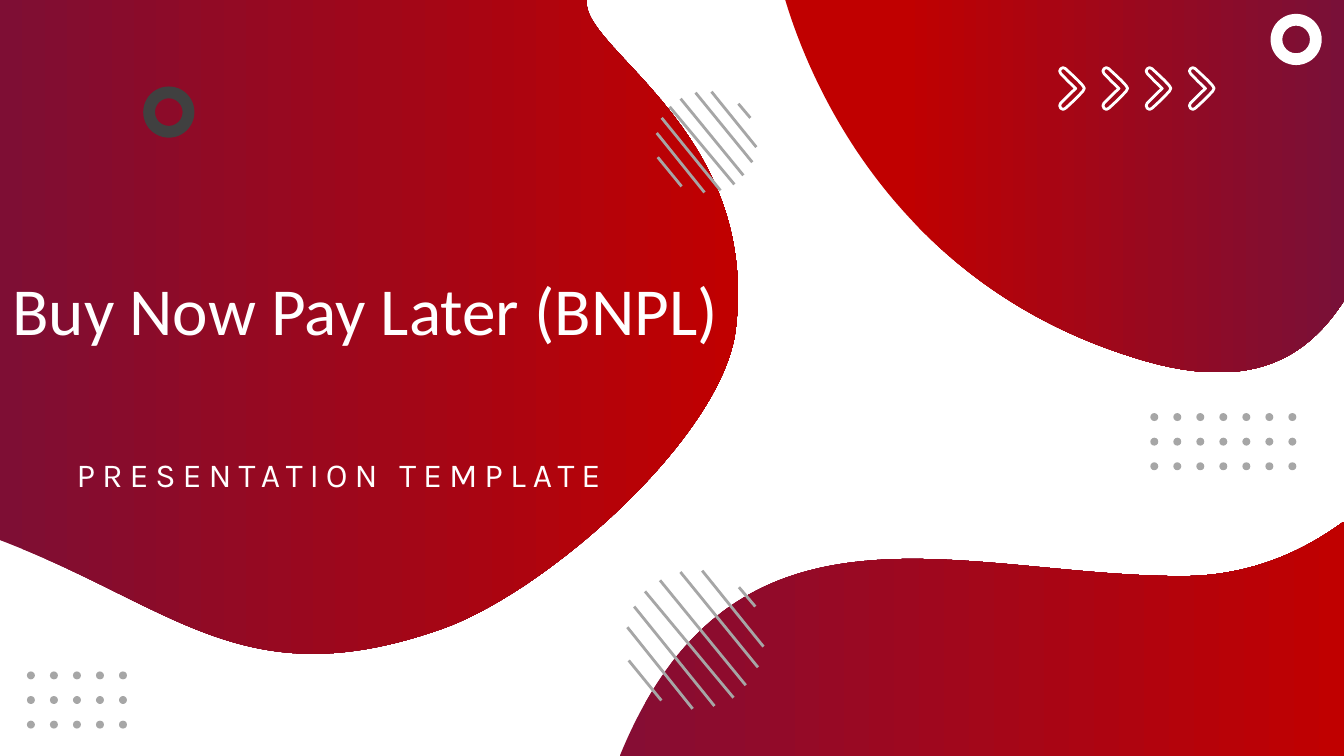
import pptx
import pptx.util
from lxml import etree
from pptx.dml.color import RGBColor
from pptx.enum.shapes import MSO_CONNECTOR, MSO_SHAPE
from pptx.enum.text import MSO_ANCHOR, MSO_AUTO_SIZE, PP_ALIGN
from pptx.oxml.ns import qn
from pptx.util import Cm


class Theme:
    white = RGBColor.from_string("FFFFFF")
    grey = RGBColor.from_string("A6A6A6")
    charcoal = RGBColor.from_string("404040")
    red = RGBColor.from_string("C00000")
    wine = RGBColor.from_string("7E0E34")
    plum = RGBColor.from_string("791038")
    burgundy = RGBColor.from_string("860D34")
    title_font, title_size = "Calibri", pptx.util.Pt(48)
    subtitle_font, subtitle_size = "Karla", pptx.util.Pt(24)
    letter_spacing = 500  # hundredths of a point
    stroke = pptx.util.Pt(2)


# Outlines in cm from the corner of their box: a start point,
# then line ends (x, y) or cubic curves (control, control, end)
LEFT_BLOB = [(11.13, 15.85), (13.79, 14.91, 18.21, 11, 18.54, 8.31),
             (19.15, 3.28, 14.66, 1.27, 14.78, 0), (0, 0), (0, 13.61),
             (4.42, 15.29, 6.15, 17.6, 11.13, 15.85)]
TOP_BLOB = [(8.66, 8.97), (11.58, 9.93, 13.08, 9.12, 14.07, 7.59),
            (14.07, 0), (0, 0), (0.61, 2.03, 2.69, 7.06, 8.66, 8.97)]
BOTTOM_BLOB = [(18.24, 1.14), (17.09, 1.98, 15.75, 2.51, 14.17, 2.51),
               (8.64, 2.51, 2.87, 0, 0, 7.04), (18.24, 7.04)]
CHEVRON = [(0.64, 0.51), (0.51, 0.36, 0.36, 0.23, 0.2, 0.08),
           (0.13, 0, 0, 0.13, 0.08, 0.2), (0.2, 0.33, 0.33, 0.46, 0.46, 0.58),
           (0.33, 0.7, 0.2, 0.83, 0.08, 0.95), (0, 1.03, 0.13, 1.17, 0.2, 1.08),
           (0.36, 0.94, 0.51, 0.79, 0.64, 0.65), (0.69, 0.61, 0.69, 0.54, 0.64, 0.51)]

# Hatch lines as fractions of their box: x1, y1, x2, y2
HATCH = [(0.01, 0.65, 0.25, 0.94), (0, 0.41, 0.48, 1), (0.05, 0.26, 0.64, 0.98),
         (0.13, 0.15, 0.78, 0.92), (0.24, 0.07, 0.87, 0.83), (0.39, 0.01, 0.96, 0.7),
         (0.55, 0, 1, 0.55), (0.82, 0.12, 0.94, 0.26)]


def add_outline(shapes, left, top, width, height, outline):
    """Span the box with a freeform, then give it the curved outline."""
    builder = shapes.build_freeform(Cm(left), Cm(top))
    builder.add_line_segments([(Cm(left + width), Cm(top + height))], close=False)
    shape = builder.convert_to_shape()
    shape.shadow.inherit = False
    contour = next(shape.element.iter(qn("a:path")))
    for step in list(contour):
        contour.remove(step)
    for index, segment in enumerate(outline):
        tag = "a:moveTo" if index == 0 else "a:lnTo" if len(segment) == 2 else "a:cubicBezTo"
        step = etree.SubElement(contour, qn(tag))
        for x, y in zip(segment[::2], segment[1::2]):
            etree.SubElement(step, qn("a:pt"), x=str(int(Cm(x))), y=str(int(Cm(y))))
    etree.SubElement(contour, qn("a:close"))
    return shape


def add_blob(page, left, top, width, height, outline, stops):
    blob = add_outline(page.shapes, left, top, width, height, outline)
    blob.line.fill.background()
    blob.fill.gradient()
    blob.fill.gradient_angle = 0
    for stop, (position, color) in zip(blob.fill.gradient_stops, stops):
        stop.position = position
        stop.color.rgb = color


def add_solid(shapes, kind, left, top, size, color):
    shape = shapes.add_shape(kind, Cm(left), Cm(top), Cm(size), Cm(size))
    shape.shadow.inherit = False
    shape.fill.solid()
    shape.fill.fore_color.rgb = color
    shape.line.fill.background()
    return shape


def add_ring(page, left, top, color):
    ring = add_solid(page.shapes, MSO_SHAPE.DONUT, left, top, 1.29, color)
    ring.adjustments[0] = 0.23


def add_hatch(page, left, top, width, height):
    group = page.shapes.add_group_shape()
    for x1, y1, x2, y2 in HATCH:
        line = group.shapes.add_connector(
            MSO_CONNECTOR.STRAIGHT,
            Cm(left + x1 * width), Cm(top + y1 * height),
            Cm(left + x2 * width), Cm(top + y2 * height))
        line.line.color.rgb = Theme.grey
        line.line.width = Theme.stroke
        etree.SubElement(line.element.spPr, qn("a:effectLst"))


def add_chevrons(page, left, top, count=4, pitch=1.09):
    group = page.shapes.add_group_shape()
    for index in range(count):
        chevron = add_outline(group.shapes, left + index * pitch, top, 0.69, 1.17, CHEVRON)
        chevron.fill.background()
        chevron.line.color.rgb = Theme.white
        chevron.line.width = Theme.stroke


def add_dots(page, left, top, columns, rows=3):
    group = page.shapes.add_group_shape()
    for row in range(rows):
        for column in range(columns):
            add_solid(group.shapes, MSO_SHAPE.OVAL, left + column * 0.58,
                      top + row * 0.62, 0.2, Theme.grey)


def fill_text(box, left, top, width, height, text, font, size):
    box.left, box.top, box.width, box.height = Cm(left), Cm(top), Cm(width), Cm(height)
    frame = box.text_frame
    frame.text = text
    frame.word_wrap = True
    frame.auto_size = MSO_AUTO_SIZE.SHAPE_TO_FIT_TEXT
    frame.vertical_anchor = MSO_ANCHOR.TOP
    frame.margin_left = frame.margin_top = frame.margin_right = frame.margin_bottom = 0
    para = frame.paragraphs[0]
    para.alignment = PP_ALIGN.LEFT
    span = para.runs[0]
    span.font.name, span.font.size = font, size
    span.font.color.rgb = Theme.white
    return para


def add_headings(page, left, top):
    title = page.shapes.title
    # Bring the title in front of the blobs
    title.element.getparent().append(title.element)
    para = fill_text(title, left, top, 17.83, 1.68, "Buy Now Pay Later (BNPL)",
                     Theme.title_font, Theme.title_size)
    para.line_spacing = 0.8
    subtitle = page.shapes.add_textbox(0, 0, 0, 0)
    para = fill_text(subtitle, left + 1.62, top + 4.29, 17.2, 1.02, "PRESENTATION TEMPLATE",
                     Theme.subtitle_font, Theme.subtitle_size)
    para.runs[0].font._element.set("spc", str(Theme.letter_spacing))


def build_cover(deck):
    page = deck.slides.add_slide(deck.slide_layouts[5])
    page.background.fill.solid()
    page.background.fill.fore_color.rgb = Theme.white
    # Gradient blobs
    add_blob(page, 0, 0, 18.59, 16.46, LEFT_BLOB, [(0, Theme.wine), (1, Theme.red)])
    add_blob(page, 19.79, 0, 14.07, 9.93, TOP_BLOB, [(0.21, Theme.red), (1, Theme.plum)])
    add_blob(page, 15.62, 12.01, 18.24, 7.04, BOTTOM_BLOB,
             [(0, Theme.burgundy), (1, Theme.red)])
    # Title and subtitle
    add_headings(page, 0.31, 7.16)
    # Decorations
    add_hatch(page, 15.81, 14.38, 3.43, 3.48)
    add_ring(page, 32.02, 0.35, Theme.white)
    add_ring(page, 3.61, 2.18, Theme.charcoal)
    add_chevrons(page, 26.65, 1.65)
    add_hatch(page, 16.55, 2.31, 2.51, 2.54)
    add_dots(page, 0.68, 16.92, columns=5)
    add_dots(page, 28.99, 10.41, columns=7)


def main():
    deck = pptx.Presentation()
    deck.slide_width, deck.slide_height = Cm(33.87), Cm(19.05)
    build_cover(deck)
    deck.save("out.pptx")


if __name__ == "__main__":
    main()
